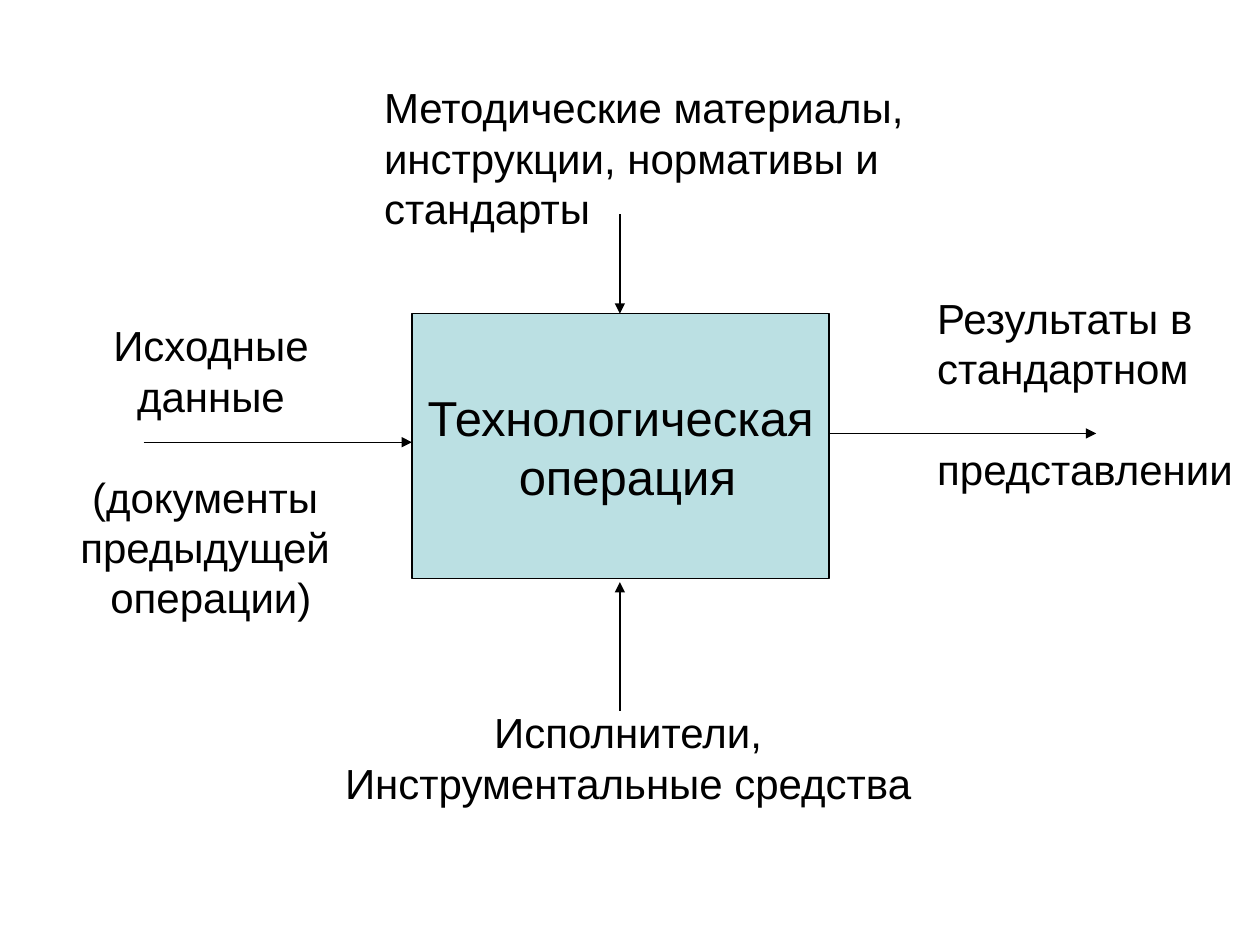
from lxml import etree
from pptx import Presentation
from pptx.dml.color import RGBColor
from pptx.enum.shapes import MSO_CONNECTOR, MSO_SHAPE
from pptx.enum.text import MSO_ANCHOR, MSO_AUTO_SIZE, PP_ALIGN
from pptx.oxml.ns import qn
from pptx.util import Inches, Pt

LEFT, CENTER = PP_ALIGN.LEFT, PP_ALIGN.CENTER
TOP, MIDDLE = MSO_ANCHOR.TOP, MSO_ANCHOR.MIDDLE
FIT, FIXED = MSO_AUTO_SIZE.SHAPE_TO_FIT_TEXT, MSO_AUTO_SIZE.NONE
RECT, STRAIGHT = MSO_SHAPE.RECTANGLE, MSO_CONNECTOR.STRAIGHT
COLS, ROWS = 100, 75


def rgb(value):
    return RGBColor.from_string(value)


def write(tf, lines, size=24, font="Arial", color="000000", align=LEFT,
          anchor=TOP, wrap=True, fit=FIT, gap_at=None):
    tf.word_wrap, tf.auto_size, tf.vertical_anchor = wrap, fit, anchor
    for i, line in enumerate(lines):
        p = tf.add_paragraph() if i else tf.paragraphs[0]
        p.alignment = align
        if i == gap_at:
            p.space_before = Pt(size * 1.2)
        r = p.add_run()
        r.text = line
        r.font.size, r.font.name = Pt(size), font
        r.font.color.rgb = rgb(color)


class Diagram:
    """Draws styled elements on one slide, placed by grid columns and rows."""

    ink, fill, weight = "000000", "BBE0E3", 0.75

    def __init__(self, prs):
        self.s = prs.slides.add_slide(prs.slide_layouts[6])
        self.col, self.row = prs.slide_width / COLS, prs.slide_height / ROWS

    def at(self, *grid):
        return [round(v * (self.row if i % 2 else self.col))
                for i, v in enumerate(grid)]

    def stroke(self, line):
        line.color.rgb, line.width = rgb(self.ink), Pt(self.weight)

    def box(self, lines, *grid, **style):
        sp = self.s.shapes.add_shape(RECT, *self.at(*grid))
        sp.shadow.inherit = False
        sp.fill.solid()
        sp.fill.fore_color.rgb = rgb(self.fill)
        self.stroke(sp.line)
        write(sp.text_frame, lines, fit=FIXED, **style)

    def label(self, lines, *grid, **style):
        sp = self.s.shapes.add_textbox(*self.at(*grid))
        write(sp.text_frame, lines, **style)

    def arrow(self, *grid):
        sp = self.s.shapes.add_connector(STRAIGHT, *self.at(*grid))
        self.stroke(sp.line)
        ln = sp.line._get_or_add_ln()
        etree.SubElement(ln, qn("a:tailEnd"), type="triangle")
        etree.SubElement(ln.getparent(), qn("a:effectLst"))


def main():
    prs = Presentation()
    prs.slide_width, prs.slide_height = Inches(10), Inches(7.5)
    d = Diagram(prs)
    left, top, width, height = 32.7, 24.9, 33.1, 21
    axis = 49.2

    d.box(["Технологическая", " операция"], left, top, width, height,
          size=28, align=CENTER, anchor=MIDDLE, wrap=False)
    d.arrow(11.4, 35.1, left, 35.1)
    d.label(["Исходные данные", "(документы ", "предыдущей ", "операции)"],
            5.1, top, 23.3, 25, align=CENTER, gap_at=1)
    d.arrow(left + width, 34.4, 87, 34.4)
    d.label(["Результаты в", "стандартном", "представлении"],
            73.4, 22.7, 25.6, 17, wrap=False, gap_at=2)
    d.arrow(axis, 17, axis, top)
    d.label(["Методические материалы,", "инструкции, нормативы и", "стандарты"],
            29.5, 6, 43.6, 13)
    d.arrow(50, 54.8, 50, 54.8)
    d.arrow(axis, 56.4, axis, 46.2)
    d.label(["Исполнители,", "Инструментальные средства"],
            26.3, 55.6, 47.1, 9, align=CENTER, wrap=False)
    prs.save("out.pptx")


if __name__ == "__main__":
    main()
